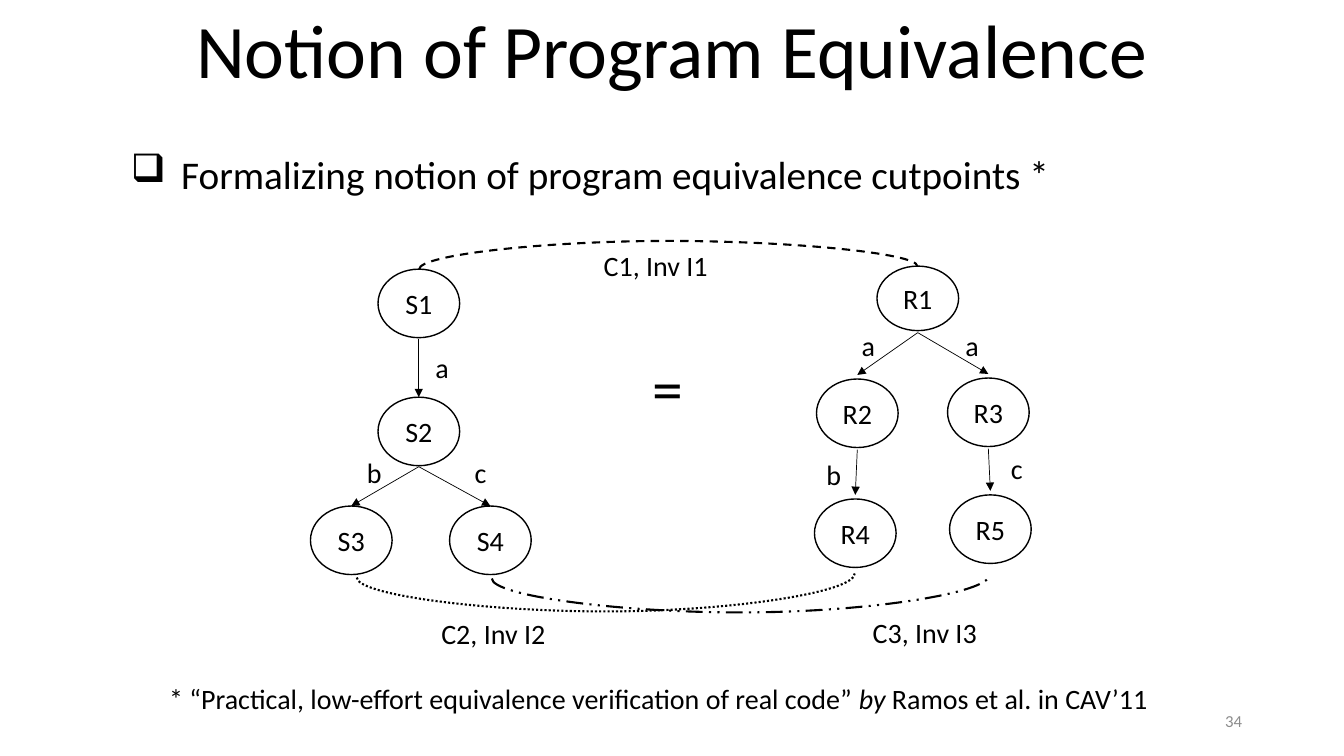
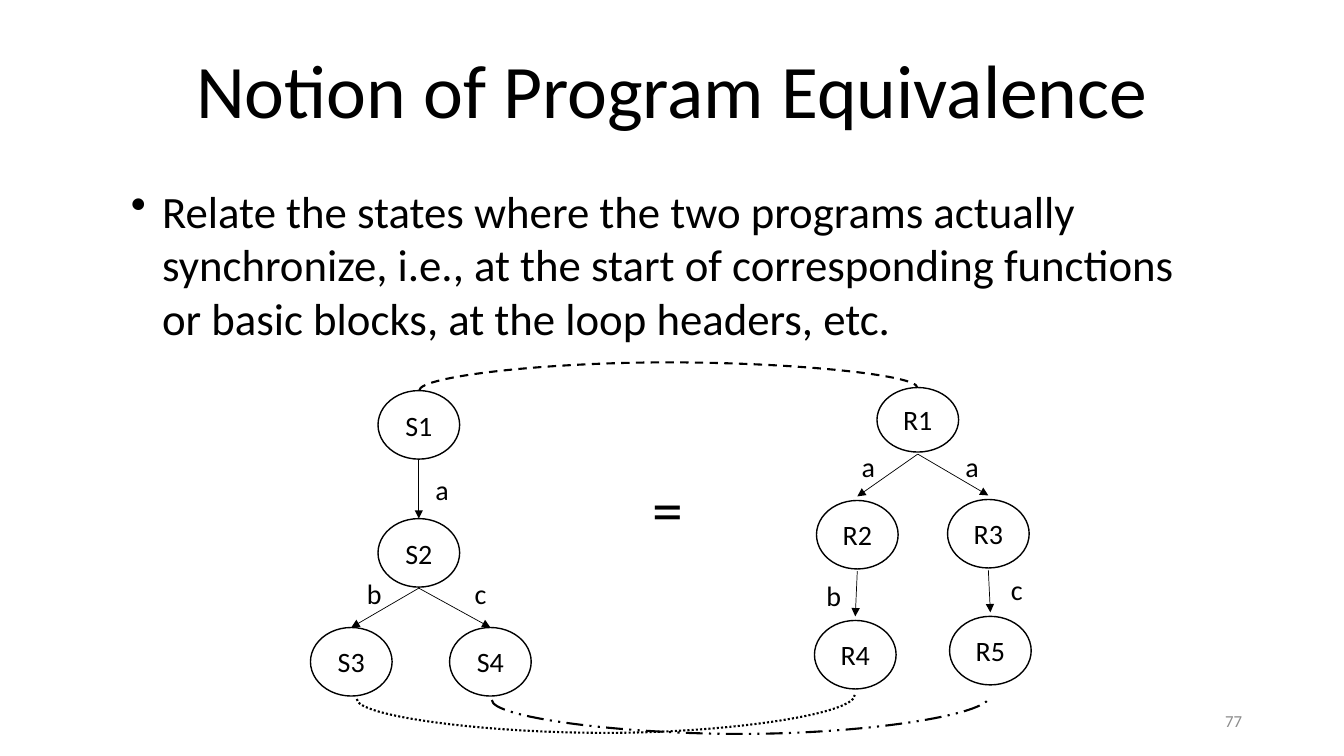
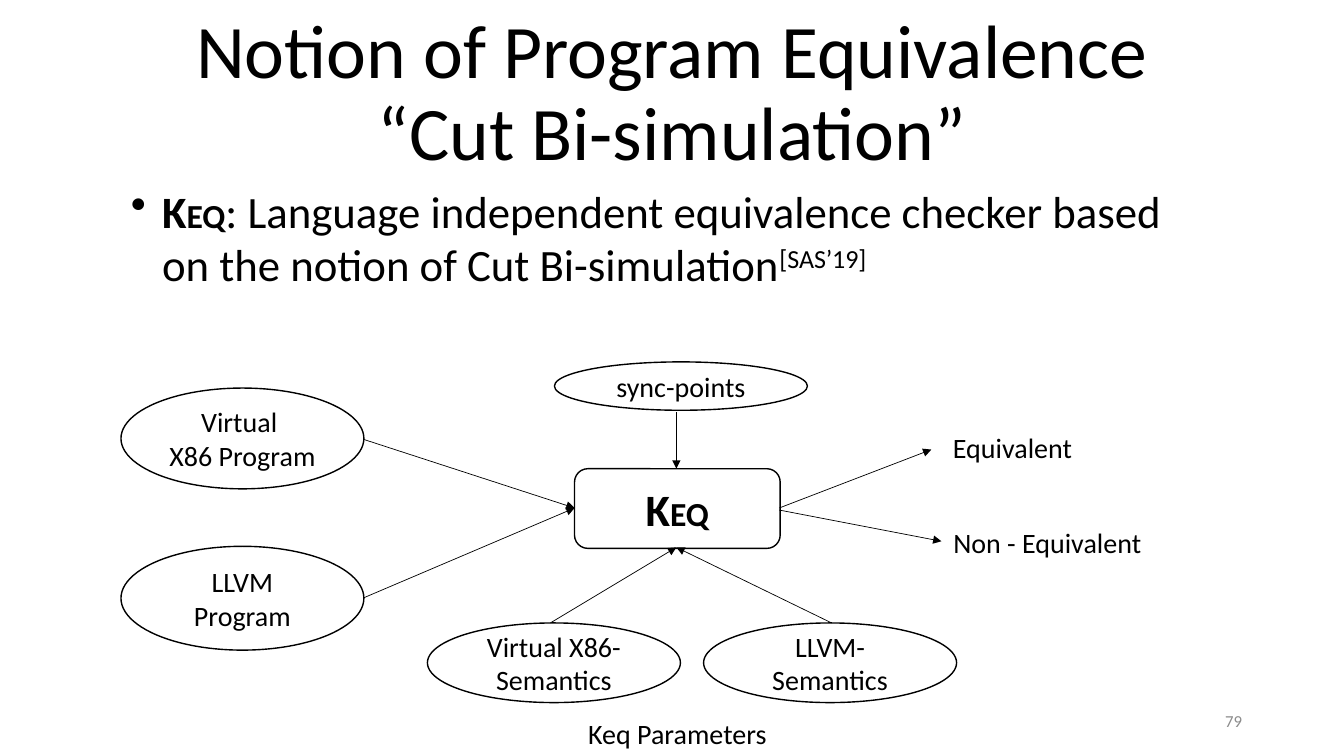
from dataclasses import dataclass

from lxml import etree
from pptx import Presentation
from pptx import util as u
from pptx.dml.color import RGBColor
from pptx.enum import dml, shapes, text
from pptx.oxml.ns import qn

KIND = shapes.MSO_SHAPE
ALIGN = text.PP_ALIGN
ANCHOR = text.MSO_ANCHOR
DASH = dml.MSO_LINE


@dataclass(frozen=True)
class Theme:
    font: str = "Calibri"
    ink: str = "000000"
    paper: str = "FFFFFF"
    muted: str = "8C8C8C"
    title: int = 54
    symbol: int = 44
    body: int = 32
    lead: int = 28
    small_caps: int = 24
    label: int = 20
    page: int = 12
    outline: float = 1
    arrow: float = 0.5
    arc: float = 1.5


class Deck:
    """Slides on a grid whose cells are a tenth of an inch square."""

    CELL = u.Inches(0.1)
    COLS, ROWS = 133.33, 75

    def __init__(self, theme):
        self.theme = theme
        self.prs = Presentation()
        self.prs.slide_width, self.prs.slide_height = self.cells(self.COLS, self.ROWS)
        self.slide = None

    def cells(self, *counts):
        return [round(n * self.CELL) for n in counts]

    def new_slide(self, title, top, height, page):
        self.slide = self.prs.slides.add_slide(self.prs.slide_layouts[6])
        tf = self.text((16.67, top, 100, height), title, self.theme.title,
                       ALIGN.CENTER, ANCHOR.BOTTOM)
        for p in tf.paragraphs:
            p.line_spacing = 0.9
        self.text((94.2, 69.5, 30, 4), [[page]], self.theme.page,
                  ALIGN.RIGHT, ANCHOR.MIDDLE, color=self.theme.muted)

    def fill_frame(self, tf, paras, size, align, anchor, color=None):
        """Add paragraphs; each run is a string or a (string, options) pair."""
        tf.vertical_anchor = anchor
        for i, runs in enumerate(paras):
            p = tf.paragraphs[0] if i == 0 else tf.add_paragraph()
            p.alignment = align
            for run in runs:
                words, opts = (run, {}) if isinstance(run, str) else run
                r = p.add_run()
                r.text = words
                r.font.name = self.theme.font
                r.font.size = u.Pt(opts.get("size", size))
                r.font.bold = opts.get("bold", False)
                r.font.italic = opts.get("italic", False)
                r.font.color.rgb = RGBColor.from_string(color or self.theme.ink)
                if opts.get("superscript"):
                    r._r.get_or_add_rPr().set("baseline", "30000")

    def text(self, box, paras, size, align=ALIGN.LEFT, anchor=ANCHOR.TOP,
             wrap=True, color=None):
        tf = self.slide.shapes.add_textbox(*self.cells(*box)).text_frame
        tf.word_wrap = wrap
        if anchor == ANCHOR.TOP:
            tf.auto_size = text.MSO_AUTO_SIZE.SHAPE_TO_FIT_TEXT
        self.fill_frame(tf, paras, size, align, anchor, color)
        return tf

    def bullet(self, top, height, runs, size, mark="•", hang=3.1):
        tf = self.text((12, top, 109.3, height), [runs], size)
        pPr = tf.paragraphs[0]._p.get_or_add_pPr()
        indent, = self.cells(hang)
        pPr.set("marL", str(indent))
        pPr.set("indent", str(-indent))
        etree.SubElement(pPr, qn("a:buChar")).set("char", mark)

    def shape(self, kind, box, paras, outlined=True):
        sp = self.slide.shapes.add_shape(kind, *self.cells(*box))
        sp.shadow.inherit = False
        sp.fill.solid()
        sp.fill.fore_color.rgb = RGBColor.from_string(self.theme.paper)
        if outlined:
            sp.line.color.rgb = RGBColor.from_string(self.theme.ink)
            sp.line.width = u.Pt(self.theme.outline)
        else:
            sp.line.fill.background()
        sp.text_frame.word_wrap = True
        self.fill_frame(sp.text_frame, paras, self.theme.label,
                        ALIGN.CENTER, ANCHOR.MIDDLE)

    def connector(self, kind, start, end, width):
        c = self.slide.shapes.add_connector(kind, *self.cells(*start, *end))
        c.line.color.rgb = RGBColor.from_string(self.theme.ink)
        c.line.width = u.Pt(width)
        etree.SubElement(c._element.spPr, qn("a:effectLst"))
        return c

    def arrow(self, start, end):
        c = self.connector(shapes.MSO_CONNECTOR.STRAIGHT, start, end, self.theme.arrow)
        etree.SubElement(c.line._get_or_add_ln(), qn("a:tailEnd")).set("type", "triangle")

    def arc(self, start, end, peak, dash):
        """Curve from left to right whose middle reaches the row `peak`.

        The connector is laid out on its side and turned by 90 degrees.
        """
        (x1, y1), (x2, y2) = start, end
        cx, cy = (x1 + x2) / 2, (y1 + y2) / 2
        w, h = y1 - y2, x2 - x1
        c = self.connector(shapes.MSO_CONNECTOR.CURVE, (cx + w / 2, cy + h / 2),
                           (cx - w / 2, cy - h / 2), self.theme.arc)
        c.line.dash_style = dash
        spPr = c._element.spPr
        spPr.find(qn("a:xfrm")).set("rot", "5400000")
        guides = spPr.find(qn("a:prstGeom")).find(qn("a:avLst"))
        bend = etree.SubElement(guides, qn("a:gd"))
        bend.set("name", "adj1")
        bend.set("fmla", f"val {round((y1 - peak) / w * 100000)}")


NODE_W, NODE_H = 8.1, 6.8
# Left and top of each state, counted from the top of the diagram
STATES = {
    "S1": (37.5, 2.8), "S2": (37.5, 15.5), "S3": (30.8, 26.3), "S4": (44.6, 26.3),
    "R1": (87, 2.5), "R2": (81, 13.7), "R3": (94, 13.6), "R4": (80.8, 25.6),
    "R5": (94.2, 25.2),
}
HEIGHTS = {"R1": 6.4}
# From, to, label, left and top of the label
STEPS = [
    ("S1", "S2", "a", 42.2, 10.4), ("S2", "S3", "b", 35.4, 20.8),
    ("S2", "S4", "c", 46.1, 20.8), ("R1", "R2", "a", 84.5, 8.2),
    ("R1", "R3", "a", 94.8, 8.2), ("R2", "R4", "b", 81, 21),
    ("R3", "R5", "c", 99.3, 20.4),
]
LABEL_W = {"a": 3.4, "b": 3.5, "c": 3.2}
# Clearance of the arrows at start and end in each program
GAPS = {"S": (0.1, 0), "R": (0.2, 0.4)}
CUTS = [
    ((41.6, 2.8), (91, 2.5), 0, DASH.DASH),
    ((35.4, 33.4), (84.8, 33), 36.75, DASH.ROUND_DOT),
    ((48.8, 33.5), (98.2, 33.1), 36.85, DASH.DASH_DOT_DOT),
]


def transition_systems(deck, top):
    """Two programs side by side, with their cutpoints related by arcs."""
    for src, dst, label, x, y in STEPS:
        leave, reach = GAPS[src[0]]
        (x1, y1), (x2, y2) = STATES[src], STATES[dst]
        bottom = y1 + HEIGHTS.get(src, NODE_H)
        deck.arrow((x1 + NODE_W / 2, top + bottom + leave),
                   (x2 + NODE_W / 2, top + y2 - reach))
        deck.text((x, top + y, LABEL_W[label], 4.4), [[label]],
                  deck.theme.label, wrap=False)
    for name, (x, y) in STATES.items():
        deck.shape(KIND.OVAL, (x, top + y, NODE_W, HEIGHTS.get(name, NODE_H)), [[name]])
    deck.text((63.7, top + 10.3, 4.9, 8.4), [["="]], deck.theme.symbol)
    for (x1, y1), (x2, y2), peak, dash in CUTS:
        deck.arc((x1, top + y1), (x2, top + y2), top + peak, dash)


def cutpoints_slide(deck):
    deck.new_slide([["Notion of Program Equivalence"]], 0, 9.9, "34")
    deck.bullet(14.4, 8.8, ["Formalizing notion of program equivalence cutpoints *"],
                deck.theme.lead, "❑", 5)
    transition_systems(deck, 23.9)
    for label, x, y, w in [("C1, Inv I1", 58.9, 24.2, 15.5),
                           ("C2, Inv I2", 42.8, 60.7, 12.6),
                           ("C3, Inv I3", 85.6, 60.6, 12.6)]:
        deck.text((x, y, w, 4.4), [[label]], deck.theme.label)
    deck.text((15.8, 67.1, 101.7, 4.4), [[
        "* “Practical, low-effort equivalence verification of real code” ",
        ("by", {"italic": True}), " Ramos et al. in CAV’11"]],
        deck.theme.label, wrap=False)


def synchronize_slide(deck):
    deck.new_slide([["Notion of Program Equivalence"]], 1, 12.9, "77")
    deck.bullet(17.7, 17.2, [
        "Relate the states where the two programs actually synchronize, i.e., at the "
        "start of corresponding functions or basic blocks, at the loop headers, etc."],
        deck.theme.body)
    transition_systems(deck, 35.95)


def checker_slide(deck):
    theme = deck.theme
    checker = [("K", {"size": theme.body, "bold": True}),
               ("EQ", {"size": theme.small_caps, "bold": True})]
    deck.new_slide([["Notion of Program Equivalence"], ["“Cut Bi-simulation”"]],
                   1, 17, "79")
    deck.bullet(17.7, 11.8, checker + [
        ": Language independent equivalence checker based on the notion of "
        "Cut Bi-simulation", ("[SAS’19]", {"superscript": True})], theme.body)

    for box, paras in [
        ((12, 38.5, 24.1, 10), [["Virtual "], ["X86 Program"]]),
        ((12, 54.2, 24.1, 10.3), [["LLVM Program"]]),
        ((55, 35.9, 25.1, 4.8), [["sync-points"]]),
        ((42.4, 61.8, 25.1, 7.9), [["Virtual X86-Semantics"]]),
        ((69.8, 61.8, 25.1, 7.9), [["LLVM-Semantics"]]),
    ]:
        deck.shape(KIND.OVAL, box, paras)
    deck.shape(KIND.ROUNDED_RECTANGLE, (57, 46.5, 20.4, 7.9), [checker])
    for box, label in [((56.5, 70.8, 21.4, 3.9), "Keq Parameters"),
                       ((92.4, 41.8, 16.1, 5.1), "Equivalent"),
                       ((93.4, 51.2, 21, 5.1), "Non - Equivalent")]:
        deck.shape(KIND.RECTANGLE, box, [[label]], outlined=False)

    left, above, below = (57, 50.4), (67.1, 46.5), (67.1, 54.3)
    for start, end in [
        ((36.1, 43.6), left), ((36.1, 59.3), left), ((67.1, 40.9), above),
        ((54.6, 61.8), below), ((82.5, 61.8), below),
        ((77.3, 50.4), (92.4, 44.6)), ((77.3, 50.6), (93.4, 53.7)),
    ]:
        deck.arrow(start, end)


def main():
    deck = Deck(Theme())
    cutpoints_slide(deck)
    synchronize_slide(deck)
    checker_slide(deck)
    deck.prs.save("out.pptx")


if __name__ == "__main__":
    main()
